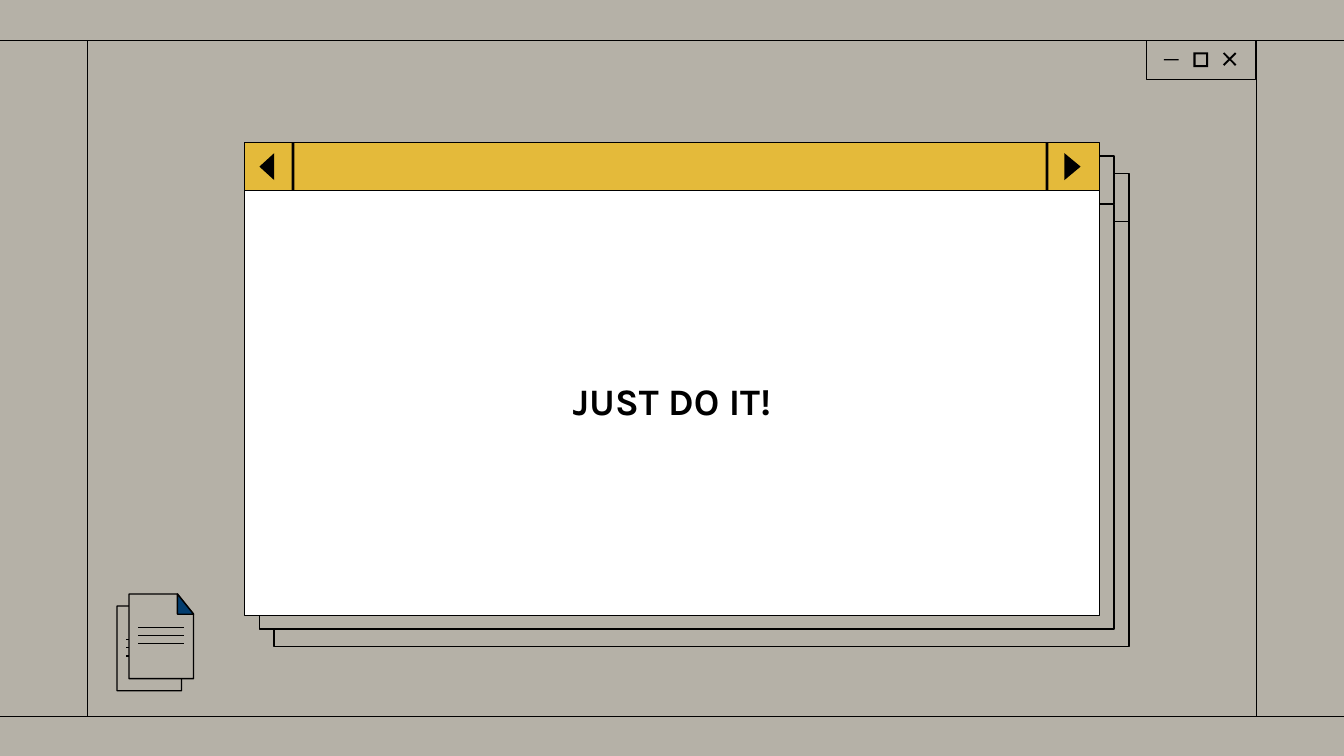
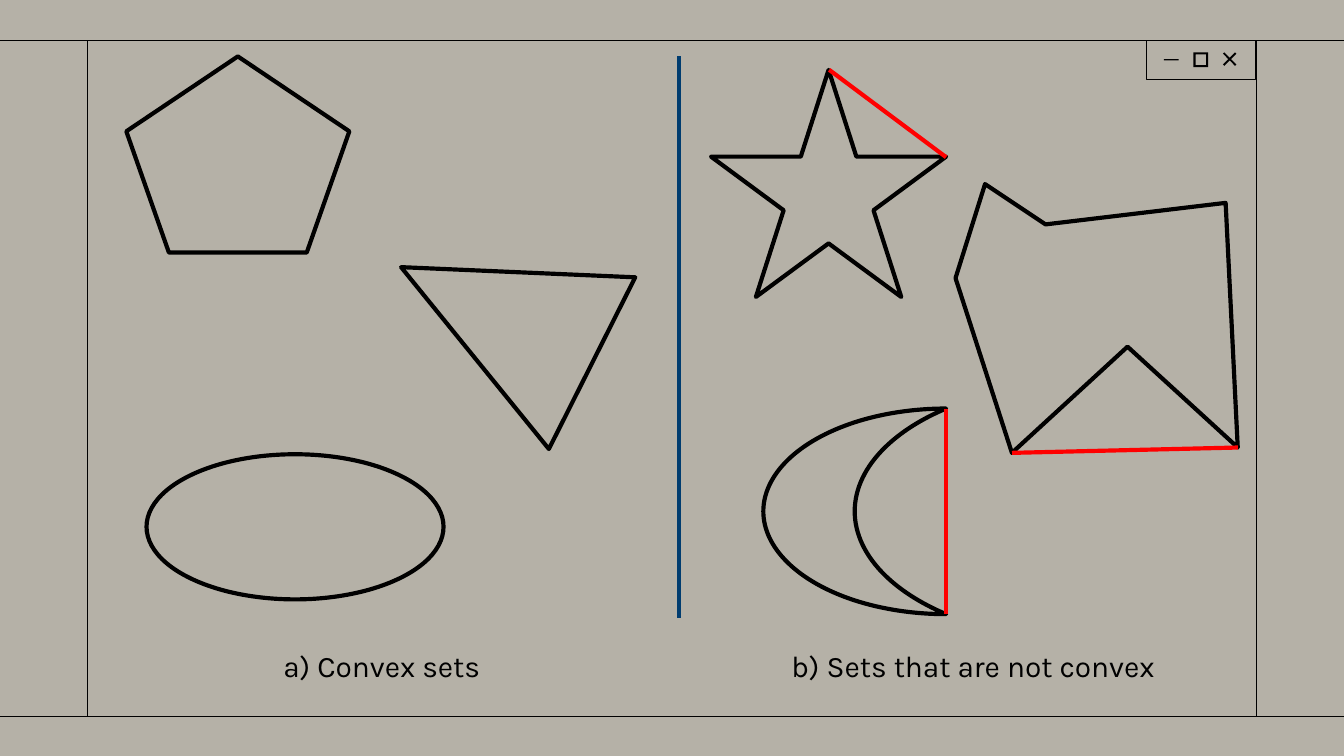
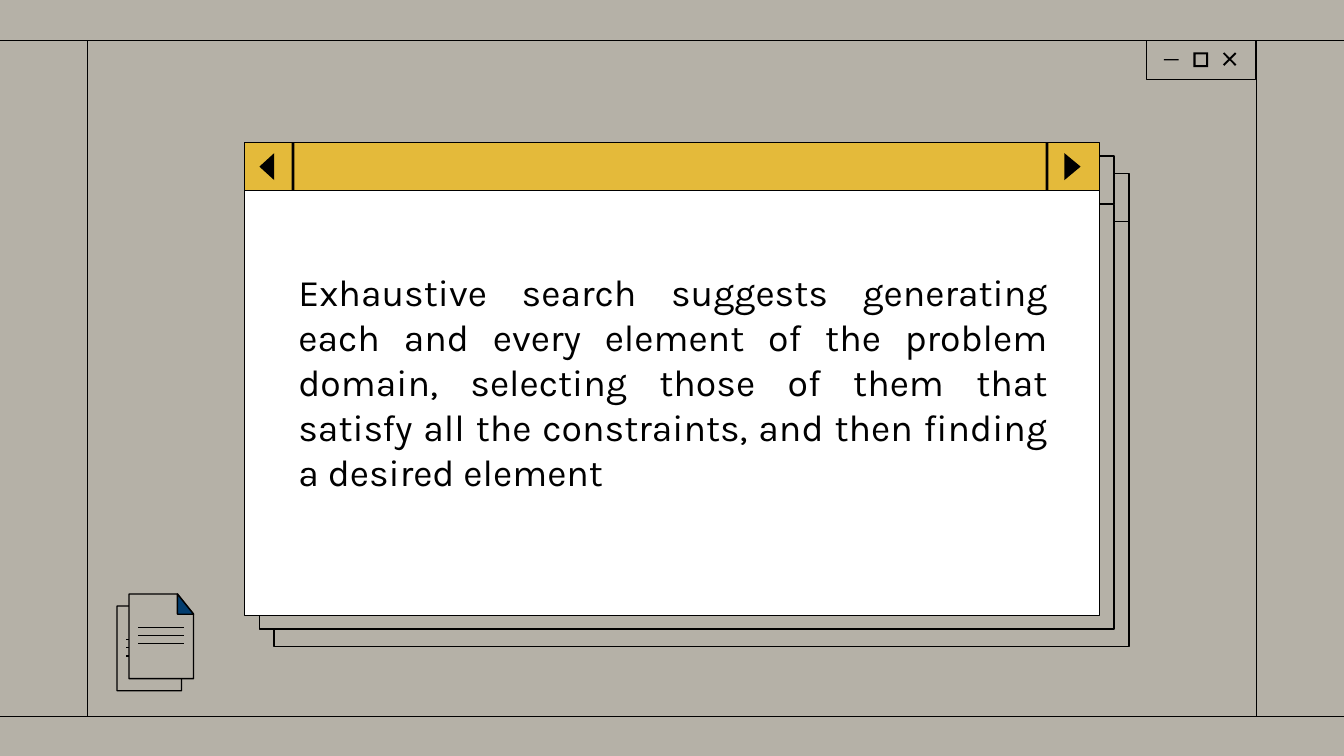
from dataclasses import dataclass
from typing import Optional

from lxml.etree import SubElement
from pptx import Presentation
from pptx.dml.color import RGBColor
from pptx.enum.shapes import MSO_CONNECTOR, MSO_SHAPE as Shape
from pptx.enum.text import MSO_ANCHOR, MSO_AUTO_SIZE, PP_ALIGN
from pptx.oxml.ns import qn
from pptx.util import Inches, Pt

Point = tuple[float, float]


@dataclass(frozen=True)
class Theme:
    desk: RGBColor = RGBColor(0xB5, 0xB1, 0xA7)
    ink: RGBColor = RGBColor(0x00, 0x00, 0x00)
    paper: RGBColor = RGBColor(0xFF, 0xFF, 0xFF)
    gold: RGBColor = RGBColor(0xE4, 0xBA, 0x3A)
    fold: RGBColor = RGBColor(0x02, 0x3D, 0x6F)
    divider: RGBColor = RGBColor(0x00, 0x3C, 0x6F)
    chord: RGBColor = RGBColor(0xFF, 0x00, 0x00)
    font: str = "Karla"
    message: Pt = Pt(20)
    caption: Pt = Pt(16)
    thin: Pt = Pt(0.75)
    thick: Pt = Pt(2.25)


T = Theme()


@dataclass(frozen=True)
class Window:
    left: float
    top: float
    bar: Optional[RGBColor] = None
    panel: Optional[RGBColor] = None
    buttons: Optional[RGBColor] = None


@dataclass(frozen=True)
class Page:
    left: float
    top: float
    fold: RGBColor


@dataclass(frozen=True)
class Figure:
    kind: Shape
    left: float
    top: float
    width: float
    height: float
    rotation: float = 0


@dataclass(frozen=True)
class Segment:
    start: Point
    end: Point
    color: RGBColor


@dataclass(frozen=True)
class Caption:
    text: str
    left: float
    width: float


WINDOWS = (
    Window(2.04, 1.29),
    Window(1.93, 1.16, T.desk, T.desk, T.desk),
    Window(1.82, 1.06, T.gold, T.paper, T.ink),
)
PAGES = (Page(0.87, 4.51, T.gold), Page(0.96, 4.42, T.fold))
FIGURES = (
    Figure(Shape.REGULAR_PENTAGON, 0.94, 0.42, 1.66, 1.46),
    Figure(Shape.ISOSCELES_TRIANGLE, 2.98, 1.55, 1.43, 1.59, 296.7),
    Figure(Shape.OVAL, 1.09, 3.38, 2.21, 1.08),
    Figure(Shape.STAR_5_POINT, 5.29, 0.52, 1.75, 1.69),
    Figure(Shape.MOON, 5.68, 3.04, 1.36, 1.53),
)
NOTCHED_POLYGON = ((7.78, 1.67), (9.12, 1.51), (9.21, 3.33), (8.39, 2.58),
                   (7.53, 3.37), (7.11, 2.07), (7.33, 1.37))
SEGMENTS = (
    Segment((5.05, 0.42), (5.05, 4.6), T.divider),
    Segment((6.17, 0.52), (7.04, 1.17), T.chord),
    Segment((7.53, 3.37), (9.21, 3.33), T.chord),
    Segment((7.04, 3.04), (7.04, 4.57), T.chord),
)
CAPTIONS = (
    Caption("a) Convex sets", 2.01, 1.75),
    Caption("b) Sets that are not convex", 5.79, 3.03),
)


def paint(sp, fill=None, line=None, width=T.thin) -> None:
    sp.shadow.inherit = False
    if fill is None:
        sp.fill.background()
    else:
        sp.fill.solid()
        sp.fill.fore_color.rgb = fill
    if line is None:
        sp.line.fill.background()
    else:
        sp.line.color.rgb = line
        sp.line.width = width


def add_preset(slide, kind: Shape, left: float, top: float, width: float,
               height: float, fill=None, line=None, weight=T.thin):
    sp = slide.shapes.add_shape(kind, Inches(left), Inches(top),
                                Inches(width), Inches(height))
    paint(sp, fill, line, weight)
    return sp


def add_polygon(slide, points, fill=None, line=None, weight=T.thin) -> None:
    corners = [(Inches(x), Inches(y)) for x, y in points]
    builder = slide.shapes.build_freeform(*corners[0])
    builder.add_line_segments(corners[1:], close=True)
    paint(builder.convert_to_shape(), fill, line, weight)


def add_line(slide, start: Point, end: Point, color=T.ink, weight=T.thin) -> None:
    line = slide.shapes.add_connector(
        MSO_CONNECTOR.STRAIGHT, *(Inches(v) for v in (*start, *end)))
    line.line.color.rgb = color
    line.line.width = weight
    SubElement(line.element.spPr, qn("a:effectLst"))


def add_cross(slide, x: float, y: float, reach: float, half: float) -> None:
    """Draw an X centred on x, y by turning one arm through four quarters."""
    arm = [(0, -half), (reach - half, -reach), (reach, half - reach)]
    points = []
    for _ in range(4):
        points += [(x + dx, y + dy) for dx, dy in arm]
        arm = [(-dy, dx) for dx, dy in arm]
    add_polygon(slide, points, T.ink)


def add_desktop(slide) -> None:
    """Draw the frame lines and window controls that every slide shares."""
    top, bottom, left, right = 0.3, 5.33, 0.65, 9.35
    add_preset(slide, Shape.RECTANGLE, 8.53, top, 0.81, 0.29, T.desk, T.ink)
    add_cross(slide, 9.15, 0.44, 0.05, 0.01)
    box = add_preset(slide, Shape.FRAME, 8.88, 0.39, 0.11, 0.11, T.ink)
    box.adjustments[0] = 0.14
    add_preset(slide, Shape.ROUNDED_RECTANGLE, 8.66, 0.44, 0.11, 0.01, T.ink)
    for y in (top, bottom):
        add_line(slide, (-0.03, y), (10.03, y))
    for x in (left, right):
        add_line(slide, (x, bottom), (x, top))


def add_window(slide, w: Window) -> None:
    width, bar_height, panel_height = 6.36, 0.36, 3.16
    add_preset(slide, Shape.RECTANGLE, w.left, w.top + bar_height,
               width, panel_height, w.panel, T.ink)
    add_preset(slide, Shape.RECTANGLE, w.left, w.top, width, bar_height, w.bar, T.ink)
    if w.buttons is None:
        return
    for offset in (0.35, 5.96):
        add_preset(slide, Shape.RECTANGLE, w.left + offset, w.top,
                   0.02, bar_height, w.buttons)
    for base, tip in ((0.22, 0.11), (6.1, 6.22)):
        add_polygon(slide, [(w.left + base, w.top + 0.08),
                            (w.left + tip, w.top + 0.18),
                            (w.left + base, w.top + 0.28)], w.buttons)


def add_page(slide, page: Page) -> None:
    x, y = page.left, page.top
    right, bottom = x + 0.48, y + 0.63
    fold_x, fold_y = right - 0.12, y + 0.15
    add_polygon(slide, [(x, y), (x, bottom), (right, bottom), (right, fold_y),
                        (fold_x, y)], T.desk, T.ink)
    add_polygon(slide, [(fold_x, y), (fold_x, fold_y), (right, fold_y)],
                page.fold, T.ink)
    for row in range(3):
        rule_y = y + 0.25 + 0.06 * row
        add_line(slide, (x + 0.07, rule_y), (x + 0.41, rule_y))


def set_font(p, size: Pt, bold: bool = False) -> None:
    p.font.name = T.font
    p.font.size = size
    p.font.bold = bold
    p.font.color.rgb = T.ink


def add_message_slide(prs, text: str, left: float, top: float,
                      align: PP_ALIGN, bold: bool = False) -> None:
    """Add a slide whose subtitle is shown in a stack of windows."""
    slide = prs.slides.add_slide(prs.slide_layouts[0])
    title, message = slide.placeholders
    tree = title.element.getparent()
    tree.remove(title.element)
    add_desktop(slide)
    for window in WINDOWS:
        add_window(slide, window)

    tree.append(message.element)  # in front of the windows
    message.left, message.top = Inches(left), Inches(top)
    message.width, message.height = Inches(5.78), Inches(1.72)
    tf = message.text_frame
    tf.text = text
    tf.word_wrap = True
    tf.auto_size = MSO_AUTO_SIZE.NONE
    tf.vertical_anchor = MSO_ANCHOR.MIDDLE
    tf.margin_left = tf.margin_right = tf.margin_top = tf.margin_bottom = Inches(0.1)
    p = tf.paragraphs[0]
    p.alignment = align
    p.space_before = Pt(0)
    set_font(p, T.message, bold)

    for page in PAGES:
        add_page(slide, page)


def add_caption(slide, caption: Caption) -> None:
    sp = slide.shapes.add_textbox(Inches(caption.left), Inches(4.77),
                                  Inches(caption.width), Inches(0.37))
    tf = sp.text_frame
    tf.text = caption.text
    tf.word_wrap = False
    tf.auto_size = MSO_AUTO_SIZE.SHAPE_TO_FIT_TEXT
    set_font(tf.paragraphs[0], T.caption)


def add_convexity_slide(prs) -> None:
    slide = prs.slides.add_slide(prs.slide_layouts[6])
    add_desktop(slide)
    for f in FIGURES:
        sp = add_preset(slide, f.kind, f.left, f.top, f.width, f.height,
                        line=T.ink, weight=T.thick)
        sp.rotation = f.rotation
    add_polygon(slide, NOTCHED_POLYGON, line=T.ink, weight=T.thick)
    for s in SEGMENTS:
        add_line(slide, s.start, s.end, s.color, T.thick)
    for caption in CAPTIONS:
        add_caption(slide, caption)


def main() -> None:
    prs = Presentation()
    prs.slide_width = Inches(10)
    prs.slide_height = prs.slide_width * 9 // 16
    background = prs.slide_master.background.fill
    background.solid()
    background.fore_color.rgb = T.desk

    add_message_slide(prs, "JUST DO IT!", 2.11, 2.12, PP_ALIGN.CENTER, bold=True)
    add_convexity_slide(prs)
    add_message_slide(
        prs,
        "Exhaustive search suggests generating each and every element of the "
        "problem domain, selecting those of them that satisfy all the "
        "constraints, and then finding a desired element",
        2.12, 1.98, PP_ALIGN.JUSTIFY)
    prs.save("out.pptx")


if __name__ == "__main__":
    main()
